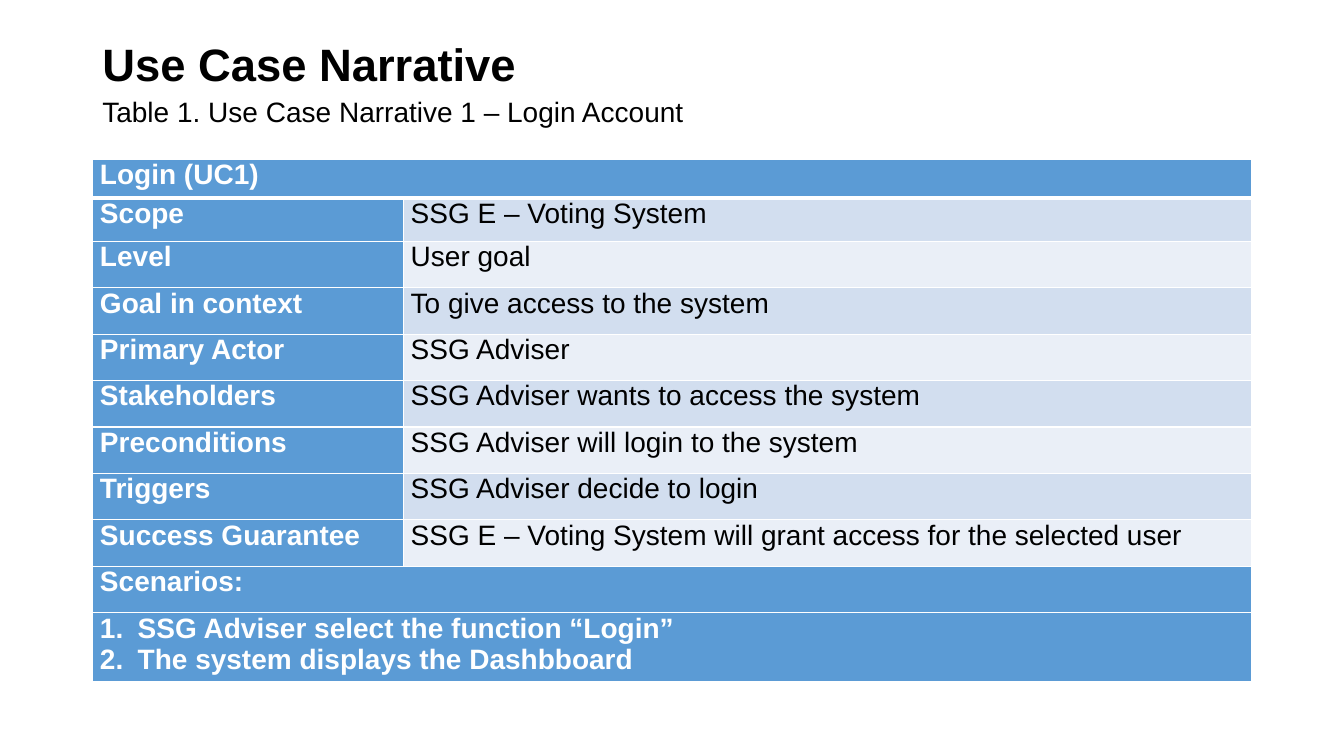
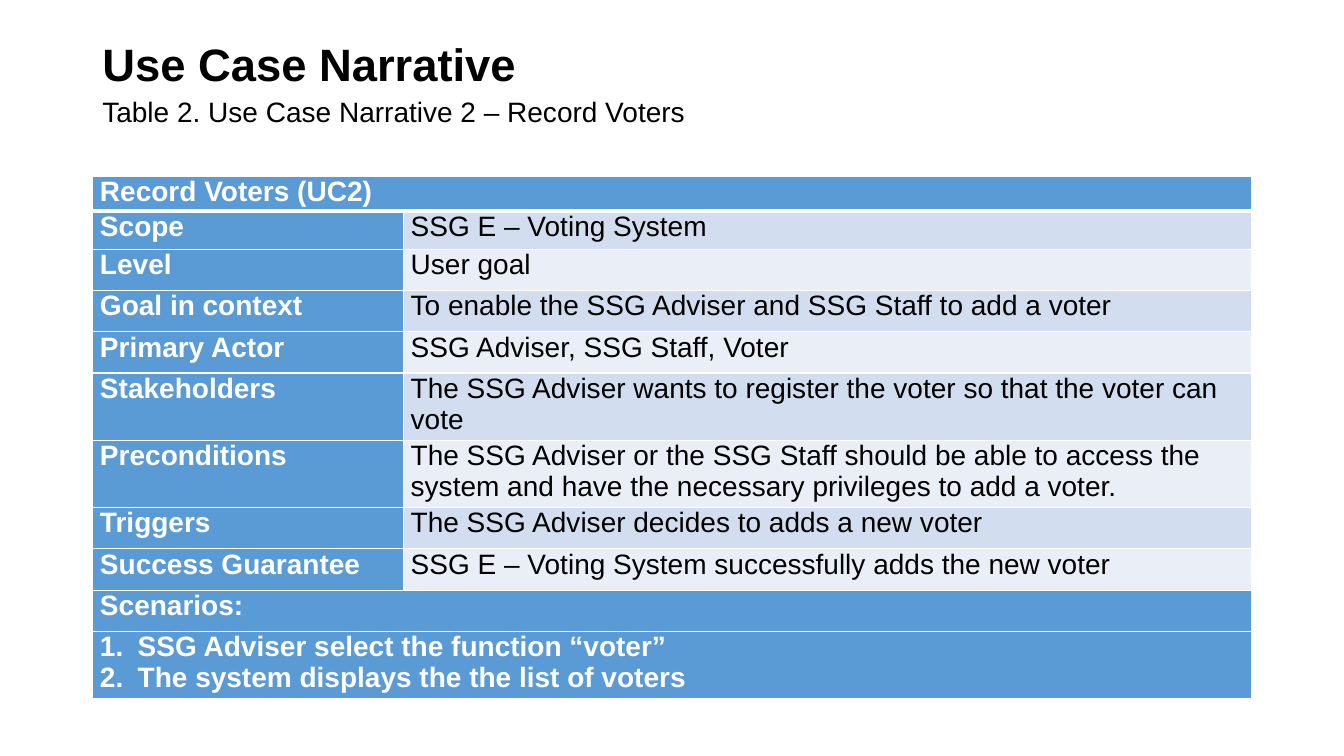
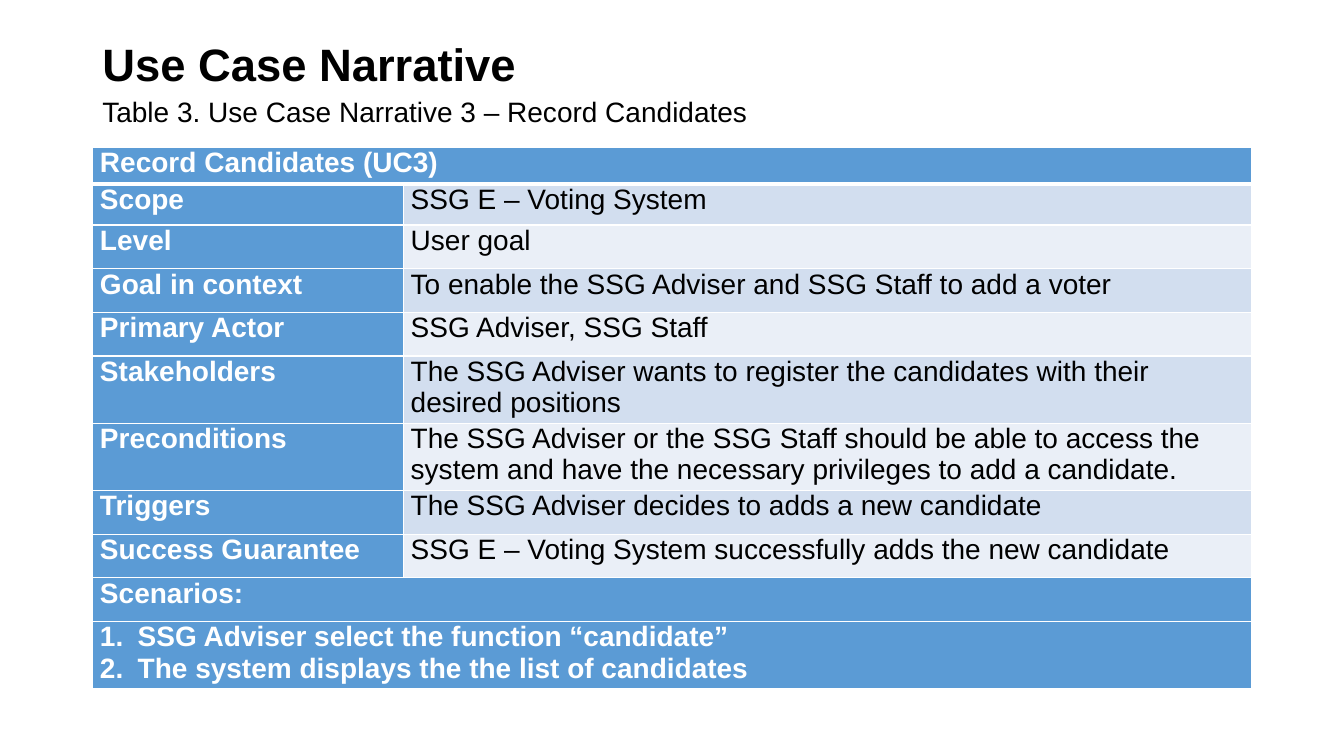
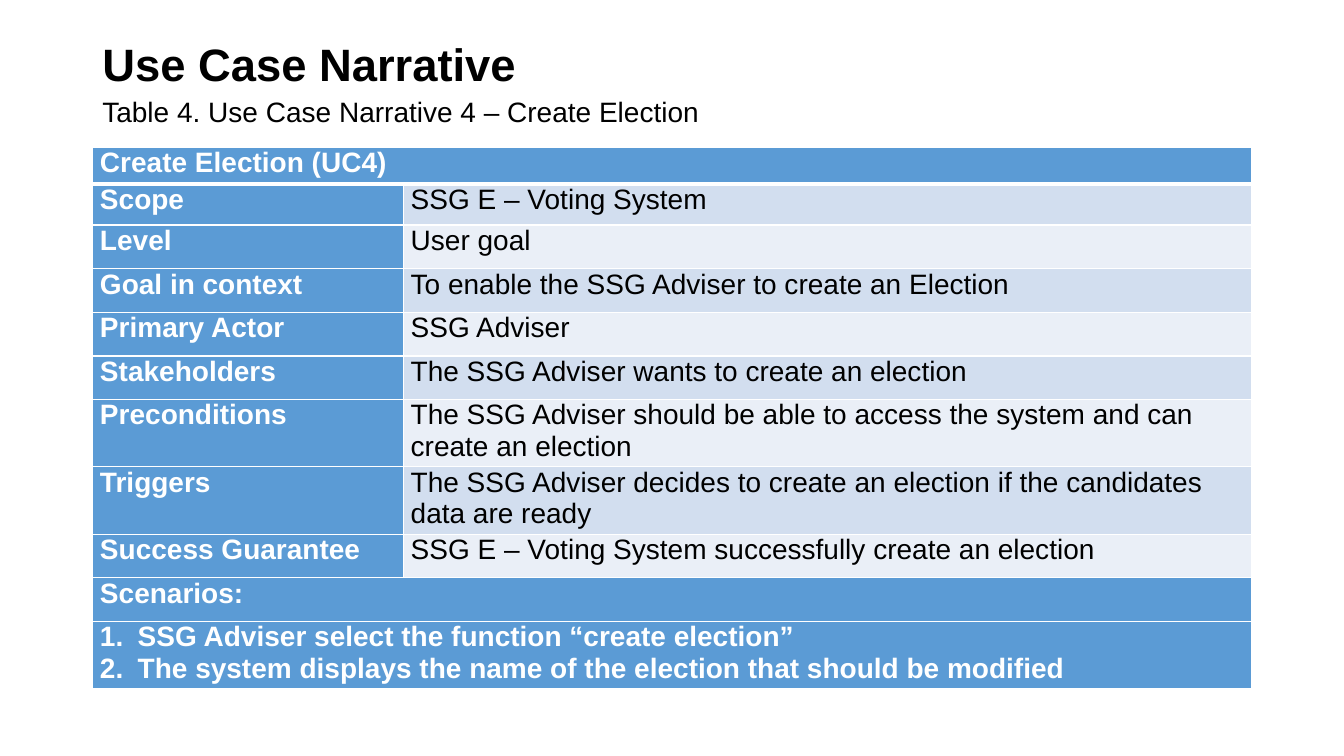
import pptx
import pptx.util
import pptx.dml.color
import pptx.enum.text
import pptx.oxml
import lxml.etree
from pptx.util import Cm, Pt

COLORS = {"text": "000000", "light": "FFFFFF", "head": "5B9BD5",
          "band_dark": "D2DEEF", "band_light": "EAEFF7"}
FONT = "Arial"
LEFT, WIDTH = 2.33, 29.21
LABEL_WIDTH = 7.83
LINE_CHARS = 65  # longer values wrap onto a second line

LABELS = ["Scope", "Level", "Goal in context", "Primary Actor", "Stakeholders",
          "Preconditions", "Triggers", "Success Guarantee"]

# heights: heading row, first row, one-line rows, two-line rows (cm)
USE_CASES = [
    {"name": "Login Account", "heading": "Login (UC1)", "top": 4.02,
     "heights": (0.97, 1.09, 1.17, 1.74),
     "values": ["SSG E – Voting System", "User goal", "To give access to the system",
                "SSG Adviser", "SSG Adviser wants to access the system",
                "SSG Adviser will login to the system", "SSG Adviser decide to login",
                "SSG E – Voting System will grant access for the selected user"],
     "steps": ["SSG Adviser select the function “Login”",
               "The system displays the Dashbboard"]},
    {"name": "Record Voters", "heading": "Record Voters (UC2)", "top": 4.45,
     "heights": (0.86, 0.97, 1.04, 1.56),
     "values": ["SSG E – Voting System", "User goal",
                "To enable the SSG Adviser and SSG Staff to add a voter",
                "SSG Adviser, SSG Staff, Voter",
                "The SSG Adviser wants to register the voter so that the voter can vote",
                "The SSG Adviser or the SSG Staff should be able to access the system "
                "and have the necessary privileges to add a voter.",
                "The SSG Adviser decides to adds a new voter",
                "SSG E – Voting System successfully adds the new voter"],
     "steps": ["SSG Adviser select the function “voter”",
               "The system displays the the list of voters"]},
    {"name": "Record Candidates", "heading": "Record Candidates (UC3)", "top": 3.72,
     "heights": (0.92, 1.03, 1.1, 1.64),
     "values": ["SSG E – Voting System", "User goal",
                "To enable the SSG Adviser and SSG Staff to add a voter",
                "SSG Adviser, SSG Staff",
                "The SSG Adviser wants to register the candidates with their desired positions",
                "The SSG Adviser or the SSG Staff should be able to access the system "
                "and have the necessary privileges to add a candidate.",
                "The SSG Adviser decides to adds a new candidate",
                "SSG E – Voting System successfully adds the new candidate"],
     "steps": ["SSG Adviser select the function “candidate”",
               "The system displays the the list of candidates"]},
    {"name": "Create Election", "heading": "Create Election (UC4)", "top": 3.72,
     "heights": (0.92, 1.03, 1.1, 1.64),
     "values": ["SSG E – Voting System", "User goal",
                "To enable the SSG Adviser to create an Election", "SSG Adviser",
                "The SSG Adviser wants to create an election",
                "The SSG Adviser should be able to access the system and can create an election",
                "The SSG Adviser decides to create an election if the candidates data are ready",
                "SSG E – Voting System successfully create an election"],
     "steps": ["SSG Adviser select the function “create election”",
               "The system displays the name of the election that should be modified"]},
]


def write(tf, *lines, size=20, color="text", bold=False, spacing=None, before=None,
          numbered=False):
    for i, line in enumerate(lines):
        p = tf.paragraphs[0] if i == 0 else tf.add_paragraph()
        if spacing:
            p.line_spacing = spacing
        if before:
            p.space_before = Pt(before)
        if numbered:
            pPr = p._p.get_or_add_pPr()
            pPr.set("marL", str(Cm(0.95)))
            pPr.set("indent", str(-Cm(0.95)))
            number = lxml.etree.SubElement(pPr, pptx.oxml.ns.qn("a:buAutoNum"))
            number.set("type", "arabicPeriod")
        r = p.add_run()
        r.text = line
        r.font.name, r.font.size, r.font.bold = FONT, Pt(size), bold
        r.font.color.rgb = pptx.dml.color.RGBColor.from_string(COLORS[color])


def style_cell(cell, fill, top=1, bottom=1):
    cell.margin_left = cell.margin_right = Cm(0.18)
    cell.margin_top = cell.margin_bottom = 0
    tcPr = cell._tc.get_or_add_tcPr()
    for side, width in (("L", 1), ("R", 1), ("T", top), ("B", bottom)):
        tcPr.append(pptx.oxml.parse_xml(
            f'<a:ln{side} {pptx.oxml.ns.nsdecls("a")} w="{Pt(width)}"><a:solidFill>'
            f'<a:srgbClr val="{COLORS["light"]}"/></a:solidFill></a:ln{side}>'))
    cell.fill.solid()
    cell.fill.fore_color.rgb = pptx.dml.color.RGBColor.from_string(COLORS[fill])


prs = pptx.Presentation()
prs.slide_width, prs.slide_height = Cm(33.87), Cm(19.05)

for number, case in enumerate(USE_CASES, 1):
    s = prs.slides.add_slide(prs.slide_layouts[6])

    # Title and caption
    tf = s.shapes.add_textbox(Cm(LEFT), Cm(1.01), Cm(WIDTH), Cm(1.35)).text_frame
    tf.word_wrap = True
    tf.vertical_anchor = pptx.enum.text.MSO_ANCHOR.MIDDLE
    write(tf, "Use Case Narrative", size=32.4, bold=True, spacing=0.9)
    tf = s.shapes.add_textbox(Cm(LEFT), Cm(2.36), Cm(WIDTH), Cm(14.81)).text_frame
    tf.word_wrap = True
    write(tf, f"Table {number}. Use Case Narrative {number} – {case['name']}",
          spacing=0.9, before=10)

    # Row heights follow the length of the values
    heading_h, first_h, single_h, double_h = case["heights"]
    heights = [heading_h, first_h]
    heights += [double_h if len(v) > LINE_CHARS else single_h for v in case["values"][1:]]
    heights += [single_h, double_h]

    # Table grid
    table = s.shapes.add_table(len(heights), 2, Cm(LEFT + 0.01), Cm(case["top"]),
                               Cm(WIDTH), Cm(sum(heights))).table
    table.columns[0].width = Cm(LABEL_WIDTH)
    table.columns[1].width = Cm(WIDTH - LABEL_WIDTH)
    last = len(heights) - 1
    full_rows = (0, last - 1, last)
    for i, height in enumerate(heights):
        table.rows[i].height = Cm(height)
        band = "head" if i in full_rows else "band_dark" if i % 2 else "band_light"
        for j, fill in enumerate(("head", band)):
            style_cell(table.cell(i, j), fill, top=3 if i == 1 else 1,
                       bottom=3 if i == 0 else 1)
        if i in full_rows:
            table.cell(i, 0).merge(table.cell(i, 1))

    # Table text
    labels = [case["heading"], *LABELS, "Scenarios:"]
    for i, label in enumerate(labels):
        write(table.cell(i, 0).text_frame, label, color="light", bold=True)
    for i, value in enumerate(case["values"], 1):
        write(table.cell(i, 1).text_frame, value)
    write(table.cell(last, 0).text_frame, *case["steps"], color="light", bold=True,
          numbered=True)

prs.save("out.pptx")
